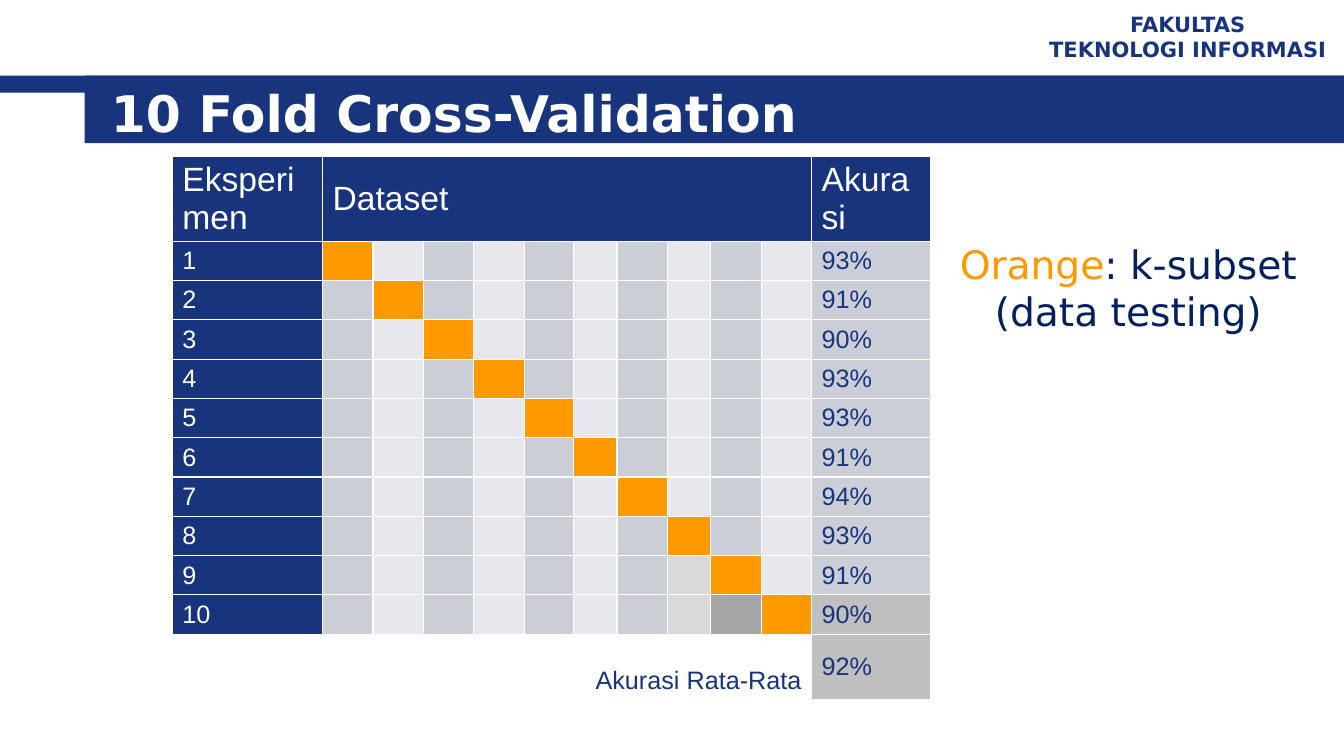
from lxml import etree
from pptx import Presentation
from pptx.dml.color import RGBColor
from pptx.enum.shapes import MSO_SHAPE
from pptx.enum.text import MSO_ANCHOR, MSO_AUTO_SIZE, PP_ALIGN
from pptx.oxml.ns import qn
from pptx.util import Inches, Pt

RECTANGLE = MSO_SHAPE.RECTANGLE
TOP, MIDDLE, BOTTOM = MSO_ANCHOR.TOP, MSO_ANCHOR.MIDDLE, MSO_ANCHOR.BOTTOM
LEFT, CENTER, RIGHT = PP_ALIGN.LEFT, PP_ALIGN.CENTER, PP_ALIGN.RIGHT

NAVY = RGBColor(0x17, 0x34, 0x7D)
INK = RGBColor(0x00, 0x20, 0x60)
ORANGE = RGBColor(0xFF, 0x99, 0x00)
WHITE = RGBColor(0xFF, 0xFF, 0xFF)
BAND_DARK = RGBColor(0xCC, 0xCE, 0xD7)
BAND_LIGHT = RGBColor(0xE8, 0xE8, 0xEC)
GRAY_LIGHT = RGBColor(0xD9, 0xD9, 0xD9)
GRAY = RGBColor(0xBF, 0xBF, 0xBF)
GRAY_DARK = RGBColor(0xA6, 0xA6, 0xA6)

DISPLAY_FONT, TABLE_FONT = "DejaVu Sans", "Arial"

# Content
TITLE = "10 Fold Cross-Validation"
FACULTY = ["FAKULTAS", "TEKNOLOGI INFORMASI"]
LEGEND = [("Orange", ORANGE), (": k-subset (data testing)", INK)]
HEADERS = {0: "Eksperimen", 1: "Dataset", 11: "Akurasi"}
ACCURACY = ["93%", "91%", "90%", "93%", "93%", "91%", "94%", "93%", "91%", "90%"]
AVERAGE_LABEL, AVERAGE = "Akurasi Rata-Rata", "92%"
FOLDS = len(ACCURACY)
RESULT_COLUMN = AVERAGE_ROW = FOLDS + 1
# Cells (row, column) outside the band pattern
SPECIAL_FILLS = {(9, 8): GRAY_LIGHT, (10, 8): GRAY_LIGHT, (10, 9): GRAY_DARK,
                 (10, RESULT_COLUMN): GRAY}

# Geometry in inches
BARS = [(0, 0.75, 13.33, 0.17), (0.84, 0.75, 12.5, 0.67)]
FACULTY_BOX = (10.23, 0.05, 3.1, 0.62)
TITLE_BOX = (1, 0.8, 11.89, 0.62)
LEGEND_BOX = (9.34, 2.33, 3.7, 1.8)
COLUMN_WIDTHS = [1.49, 0.5, 0.5, 0.5, 0.5, 0.49, 0.43, 0.5, 0.43, 0.5, 0.5, 1.18]
ROW_HEIGHTS = [0.84] + [0.39] * FOLDS + [0.65]
TABLE_BOX = (1.71, 1.55, sum(COLUMN_WIDTHS), sum(ROW_HEIGHTS))


def inches(box):
    return [Inches(value) for value in box]


def place(shape, box):
    shape.left, shape.top, shape.width, shape.height = inches(box)


def set_frame(frame, anchor):
    frame.word_wrap = True
    frame.auto_size = MSO_AUTO_SIZE.NONE
    frame.vertical_anchor = anchor


def style(para, size, font, color=None, bold=False, align=LEFT):
    para.alignment = align
    para.font.size, para.font.name, para.font.bold = Pt(size), font, bold
    if color is not None:
        para.font.color.rgb = color


def fill_cell(cell, fill, text="", color=WHITE, size=18, align=LEFT, anchor=MIDDLE):
    properties = cell._tc.get_or_add_tcPr()
    for side in ("a:lnL", "a:lnR", "a:lnT", "a:lnB"):
        line = etree.SubElement(properties, qn(side), w=str(Pt(1)))
        solid = etree.SubElement(line, qn("a:solidFill"))
        etree.SubElement(solid, qn("a:srgbClr"), val=str(WHITE))
    cell.fill.solid()
    cell.fill.fore_color.rgb = fill
    cell.vertical_anchor = anchor
    para = cell.text_frame.paragraphs[0]
    if text:
        para.text = text
        style(para, size, TABLE_FONT, color, align=align)
    else:
        # Small end mark keeps empty cells from stretching the row
        etree.SubElement(para._p, qn("a:endParaRPr"), sz="1200")


def dataset_fill(fold, subset):
    if fold == subset:
        return ORANGE
    band = BAND_DARK if subset % 2 else BAND_LIGHT
    return SPECIAL_FILLS.get((fold, subset), band)


deck = Presentation()
deck.slide_width, deck.slide_height = Inches(13.33), Inches(7.5)
page = deck.slides.add_slide(deck.slide_layouts[1])
title, legend = page.placeholders

# Title bars, sent behind the placeholders
for index, box in enumerate(BARS):
    bar = page.shapes.add_shape(RECTANGLE, *inches(box))
    bar.shadow.inherit = False
    bar.fill.solid()
    bar.fill.fore_color.rgb = NAVY
    bar.line.fill.background()
    page.shapes._spTree.insert(2 + index, bar._element)

# Faculty name
faculty = page.shapes.add_textbox(*inches(FACULTY_BOX)).text_frame
set_frame(faculty, MIDDLE)
faculty.text = "\n".join(FACULTY)
for para in faculty.paragraphs:
    style(para, 15, DISPLAY_FONT, NAVY, bold=True, align=CENTER)

# Title
place(title, TITLE_BOX)
set_frame(title.text_frame, MIDDLE)
title.text_frame.text = TITLE
style(title.text_frame.paragraphs[0], 36, DISPLAY_FONT, WHITE, bold=True)

# Legend
place(legend, LEGEND_BOX)
set_frame(legend.text_frame, TOP)
para = legend.text_frame.paragraphs[0]
para_properties = para._p.get_or_add_pPr()
para_properties.set("marL", "0")
para_properties.set("indent", "0")
etree.SubElement(para_properties, qn("a:buNone"))
para.space_before = Pt(0)
style(para, 28, DISPLAY_FONT, align=CENTER)
for text, color in LEGEND:
    span = para.add_run()
    span.text = text
    span.font.color.rgb = color

# Table grid
table = page.shapes.add_table(len(ROW_HEIGHTS), len(COLUMN_WIDTHS),
                              *inches(TABLE_BOX)).table
table.first_row = table.horz_banding = False
for column, width in zip(table.columns, COLUMN_WIDTHS):
    column.width = Inches(width)
for row, height in zip(table.rows, ROW_HEIGHTS):
    row.height = Inches(height)
table.cell(0, 1).merge(table.cell(0, FOLDS))
table.cell(AVERAGE_ROW, 0).merge(table.cell(AVERAGE_ROW, FOLDS))

# Header row
for column in range(len(COLUMN_WIDTHS)):
    fill_cell(table.cell(0, column), NAVY, HEADERS.get(column, ""), size=24)

# One row per experiment, its test subset on the diagonal
for fold, accuracy in enumerate(ACCURACY, start=1):
    fill_cell(table.cell(fold, 0), NAVY, str(fold))
    for subset in range(1, FOLDS + 1):
        fill_cell(table.cell(fold, subset), dataset_fill(fold, subset))
    result_fill = SPECIAL_FILLS.get((fold, RESULT_COLUMN), BAND_DARK)
    fill_cell(table.cell(fold, RESULT_COLUMN), result_fill, accuracy, NAVY)

# Average row
fill_cell(table.cell(AVERAGE_ROW, 0), WHITE, AVERAGE_LABEL, NAVY,
          align=RIGHT, anchor=BOTTOM)
fill_cell(table.cell(AVERAGE_ROW, RESULT_COLUMN), GRAY, AVERAGE, NAVY)

deck.save("out.pptx")
